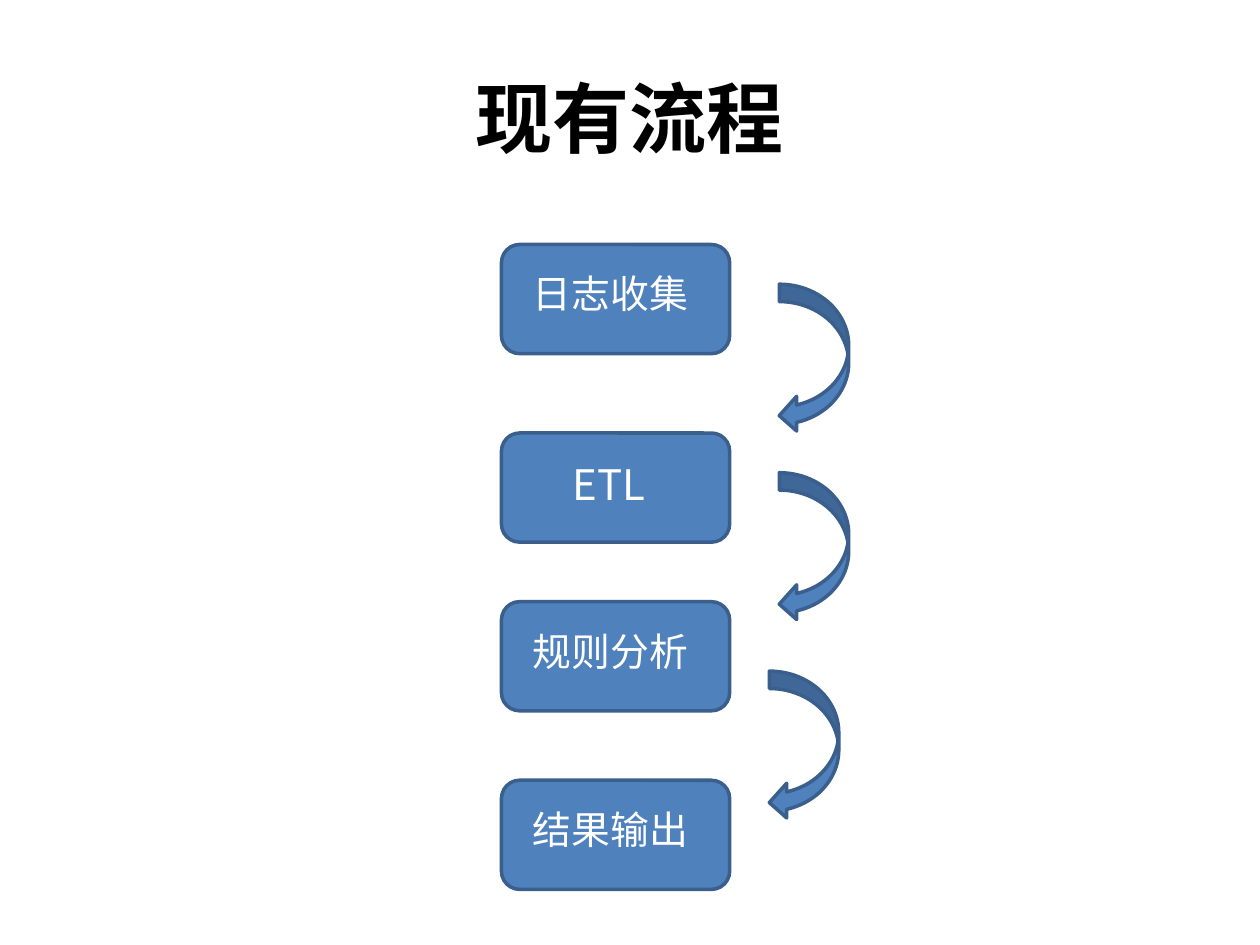
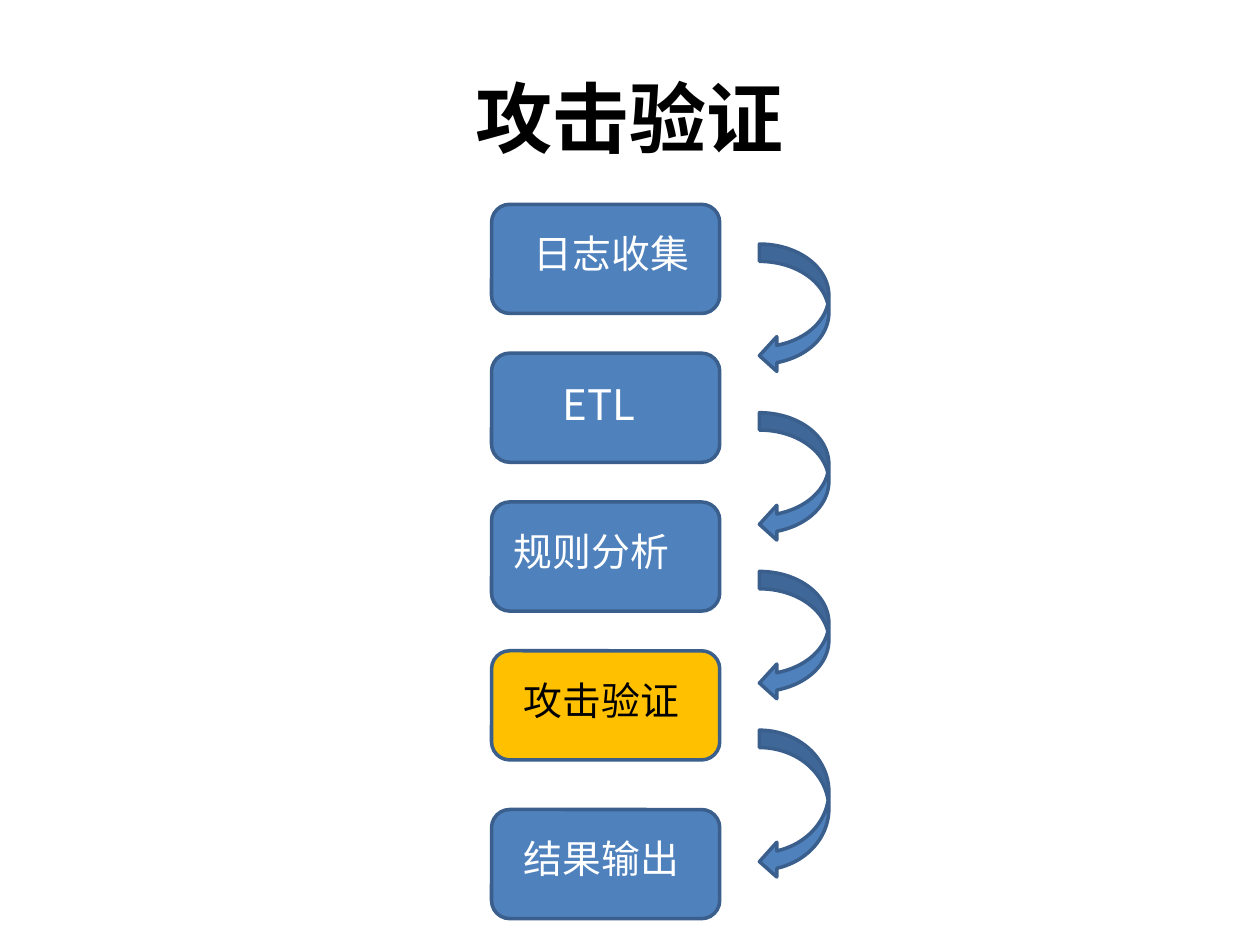
import pptx
import pptx.util
import pptx.dml.color
import pptx.enum.shapes
import pptx.enum.text
import pptx.oxml.ns
from lxml import etree

Cm, Pt = pptx.util.Cm, pptx.util.Pt
RGB = pptx.dml.color.RGBColor
SHAPE = pptx.enum.shapes.MSO_SHAPE
ALIGN = pptx.enum.text.PP_ALIGN
ANCHOR = pptx.enum.text.MSO_ANCHOR

BLUE = RGB(0x4F, 0x81, 0xBD)
EDGE = RGB(0x3A, 0x5F, 0x8C)
AMBER = RGB(0xFF, 0xC0, 0x00)
WHITE = RGB(0xFF, 0xFF, 0xFF)
BLACK = RGB(0x00, 0x00, 0x00)
FONT = "Noto Sans CJK SC"

# Sizes in centimetres
STEP_W, STEP_H = 4.6, 2.2
LABEL_W, LABEL_H, LABEL_DROP = 3.84, 1.3, 0.39
ARROW_W = 1.4


def write(tf, text, size=22.2, color=WHITE, bold=False, align=ALIGN.LEFT,
          anchor=ANCHOR.TOP):
    tf.word_wrap = True
    tf.vertical_anchor = anchor
    p = tf.paragraphs[0]
    p.alignment = align
    r = p.add_run()
    r.text = text
    r.font.size, r.font.bold, r.font.name = Pt(size), bold, FONT
    r.font.color.rgb = color
    ea = etree.SubElement(r.font._element, pptx.oxml.ns.qn("a:ea"))
    ea.set("typeface", FONT)


def add_block(s, kind, left, top, width, height, fill=BLUE):
    sp = s.shapes.add_shape(kind, Cm(left), Cm(top), Cm(width), Cm(height))
    sp.shadow.inherit = False
    sp.fill.solid()
    sp.fill.fore_color.rgb = fill
    sp.line.color.rgb = EDGE
    sp.line.width = Pt(2)


def add_step(s, left, top, text, indent, size=22.2, fill=BLUE, color=WHITE):
    """A rounded box with its label, indented from the box's left edge."""
    add_block(s, SHAPE.ROUNDED_RECTANGLE, left, top, STEP_W, STEP_H, fill)
    label = s.shapes.add_textbox(Cm(left + indent), Cm(top + LABEL_DROP),
                                 Cm(LABEL_W), Cm(LABEL_H))
    write(label.text_frame, text, size, color)


def add_flow(s, left, top, steps, arrows):
    """Steps and arrows are placed relative to the top left of the flow."""
    for drop, text, indent, style in steps:
        add_step(s, left, top + drop, text, indent, **style)
    for x, drop, height in arrows:
        add_block(s, SHAPE.CURVED_LEFT_ARROW, left + x, top + drop,
                  ARROW_W, height)


def add_flow_slide(prs, title, left, top, steps, arrows):
    s = prs.slides.add_slide(prs.slide_layouts[5])
    sp = s.shapes.title
    sp.left, sp.top, sp.width, sp.height = Cm(1.27), Cm(0.76), Cm(22.86), Cm(3.18)
    write(sp.text_frame, title, 44, BLACK, True, ALIGN.CENTER, ANCHOR.MIDDLE)
    add_flow(s, left, top, steps, arrows)


def main():
    prs = pptx.Presentation()
    prs.slide_width, prs.slide_height = Cm(25.4), Cm(19.05)
    latin = {"size": 24}
    new_step = {"fill": AMBER, "color": BLACK}

    # Existing process: (drop, label, indent, style) and (x, drop, height)
    add_flow_slide(
        prs, "现有流程", 10.11, 4.93,
        [(0, "日志收集", 0.38, {}), (3.8, "ETL", 1.19, latin),
         (7.2, "规则分析", 0.38, {}), (10.8, "结果输出", 0.38, {})],
        [(5.6, 0.8, 3), (5.6, 4.6, 3), (5.4, 8.6, 3)])

    # Process with the added verification step
    add_flow_slide(
        prs, "攻击验证", 9.91, 4.12,
        [(0, "日志收集", 0.6, {}), (3, "ETL", 1.19, latin),
         (6, "规则分析", 0.2, {}), (9, "攻击验证", 0.4, new_step),
         (12.2, "结果输出", 0.4, {})],
        [(5.4, 0.8, 2.6), (5.4, 4.2, 2.6), (5.4, 7.4, 2.6), (5.4, 10.6, 3)])

    prs.save("out.pptx")


if __name__ == "__main__":
    main()
